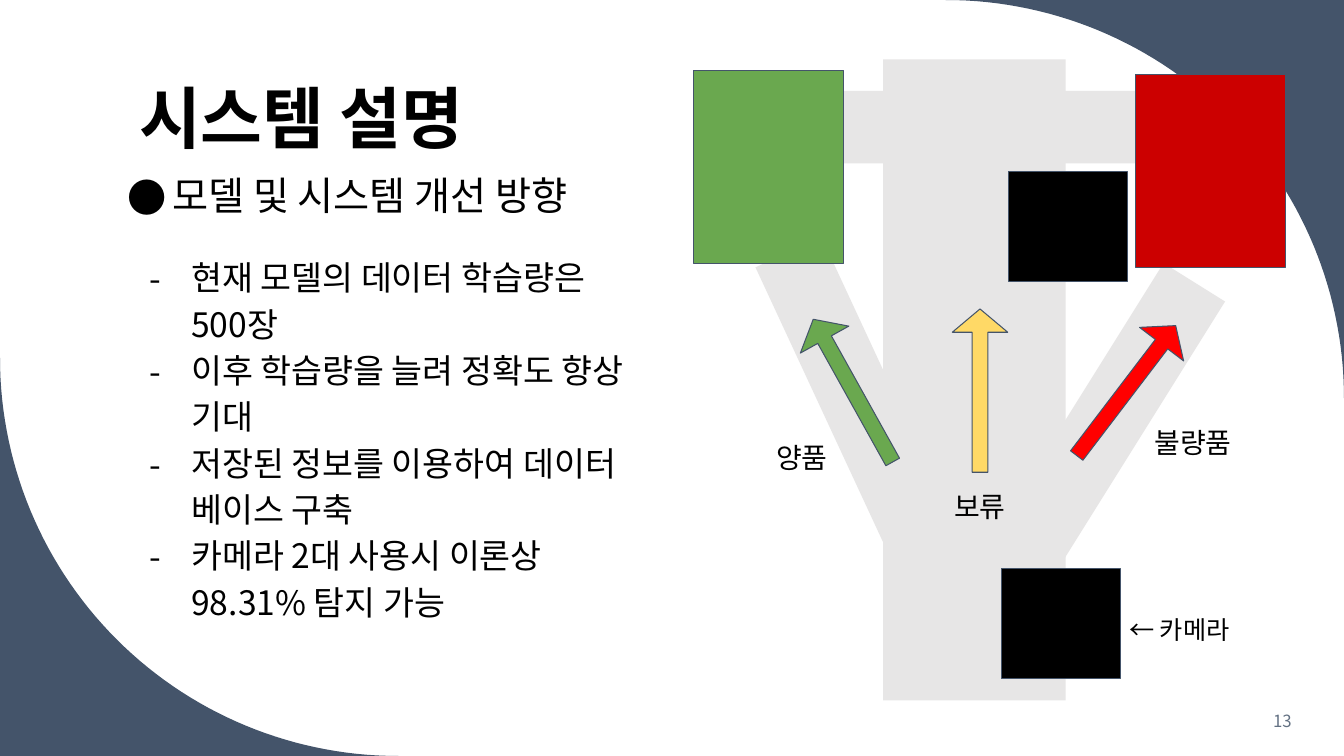
from dataclasses import dataclass
from math import cos, pi, sin
from typing import Optional

from lxml import etree
from pptx import Presentation
from pptx.dml.color import RGBColor
from pptx.enum.shapes import MSO_SHAPE
from pptx.enum.text import MSO_ANCHOR, MSO_AUTO_SIZE, PP_ALIGN
from pptx.oxml.ns import qn
from pptx.util import Inches, Pt

RECT, ARROW = MSO_SHAPE.RECTANGLE, MSO_SHAPE.RIGHT_ARROW
LEFT, CENTER, RIGHT = PP_ALIGN.LEFT, PP_ALIGN.CENTER, PP_ALIGN.RIGHT
TOP, MIDDLE, BOTTOM = MSO_ANCHOR.TOP, MSO_ANCHOR.MIDDLE, MSO_ANCHOR.BOTTOM
NO_AUTOFIT = MSO_AUTO_SIZE.NONE

NAVY = RGBColor(0x44, 0x54, 0x6A)
SLATE = RGBColor(0x63, 0x71, 0x83)
BLACK = RGBColor(0x00, 0x00, 0x00)
BELT = RGBColor(0xE7, 0xE6, 0xE6)
GREEN = RGBColor(0x6A, 0xA8, 0x4F)
YELLOW = RGBColor(0xFF, 0xD9, 0x66)
RED = RGBColor(0xFF, 0x00, 0x00)
DARK_RED = RGBColor(0xCC, 0x00, 0x00)

FONT = "Noto Sans CJK KR"
WIDTH, HEIGHT, RADIUS = 13.33, 7.5, 3.95


@dataclass
class Block:
    x: float
    y: float
    w: float
    h: float
    fill: RGBColor
    rotation: float = 0
    outlined: bool = True
    kind: int = RECT


@dataclass
class Text:
    x: float
    y: float
    w: float
    h: float
    lines: list[str]
    size: float
    color: RGBColor = BLACK
    bold: bool = False
    align: PP_ALIGN = LEFT
    anchor: MSO_ANCHOR = TOP
    inset: float = 0.1
    spacing: float = 1.0
    bullet: Optional[str] = None
    hanging: float = 0


def belt(x: float, y: float, h: float, rotation: float) -> Block:
    return Block(x, y, 0.72, h, BELT, rotation, False)


def arrow(x: float, fill: RGBColor, rotation: float) -> Block:
    return Block(x, 3.6, 1.62, 0.55, fill, rotation, kind=ARROW)


def camera(x: float, y: float) -> Block:
    return Block(x, y, 1.18, 1.09, BLACK)


def bin_box(x: float, y: float, fill: RGBColor) -> Block:
    return Block(x, y, 1.49, 1.91, fill)


def label(x: float, y: float, text: str, align: PP_ALIGN = LEFT) -> Text:
    return Text(x, y, 1.18, 0.4, [text], 20, align=align)


TITLE = Text(1.28, 0.17, 10.69, 1.45, ["시스템 설명"], 48, bold=True,
             anchor=BOTTOM, inset=0.05, spacing=0.9)
PAGE_NUMBER = Text(11.1, 6.95, 1.81, 0.4, ["13"], 12, SLATE,
                   align=RIGHT, anchor=MIDDLE, inset=0.05)
HEADING = Text(1.11, 1.7, 10.69, 0.55, ["모델 및 시스템 개선 방향"], 28,
               inset=0.05, spacing=0.9, bullet="●", hanging=0.44)
IMPROVEMENTS = Text(1.3, 2.39, 5.16, 4.15, [
    "현재 모델의 데이터 학습량은 500장",
    "이후 학습량을 늘려 정확도 향상 기대",
    "저장된 정보를 이용하여 데이터 베이스 구축",
    "카메라 2대 사용시 이론상 98.31% 탐지 가능",
], 24, spacing=1.15, bullet="-", hanging=0.42)

DIAGRAM = [
    Block(8.76, 0.59, 1.81, 6.36, BELT, outlined=False),
    camera(9.93, 5.64),
    Text(11.1, 5.99, 1.49, 0.4, ["← 카메라"], 18),
    belt(8.1, 2.36, 3.04, 335.1),
    belt(10.68, 2.57, 3.04, 32),
    arrow(10.36, RED, 307.3),
    arrow(7.65, GREEN, 240.9),
    arrow(8.91, YELLOW, 270),
    label(11.35, 4.12, "불량품"),
    label(7.6, 4.27, "양품"),
    label(9.13, 4.76, "보류", CENTER),
    camera(10, 1.7),
    belt(8.45, 0.4, 1.72, 270),
    belt(10.23, 0.4, 1.72, 270),
    bin_box(6.88, 0.7, GREEN),
    bin_box(11.26, 0.74, DARK_RED),
]


def add_corner(s, x: float, y: float, start: float) -> None:
    cx = x - RADIUS if x else RADIUS
    cy = y - RADIUS if y else RADIUS
    angles = [start + pi / 2 * i / 60 for i in range(61)]
    arc = [(Inches(cx + RADIUS * cos(a)), Inches(cy + RADIUS * sin(a)))
           for a in angles]
    builder = s.shapes.build_freeform(Inches(x), Inches(y))
    builder.add_line_segments(arc, close=True)
    sp = builder.convert_to_shape()
    sp.shadow.inherit = False
    sp.fill.solid()
    sp.fill.fore_color.rgb = NAVY
    sp.line.fill.background()


def add_block(s, block: Block) -> None:
    sp = s.shapes.add_shape(block.kind, Inches(block.x), Inches(block.y),
                            Inches(block.w), Inches(block.h))
    sp.shadow.inherit = False
    sp.rotation = block.rotation
    sp.fill.solid()
    sp.fill.fore_color.rgb = block.fill
    if block.kind == ARROW:
        sp.adjustments[0] = 0.28
        sp.adjustments[1] = 0.42
    if block.outlined:
        sp.line.color.rgb = NAVY
        sp.line.width = Pt(0.75)
    else:
        sp.line.fill.background()


def add_bullet(p, char: str, hanging: float) -> None:
    pPr = p._p.get_or_add_pPr()
    pPr.set("marL", str(Inches(0.5)))
    pPr.set("indent", str(-Inches(hanging)))
    color = etree.SubElement(pPr, qn("a:buClr"))
    etree.SubElement(color, qn("a:srgbClr"), val=str(BLACK))
    etree.SubElement(pPr, qn("a:buFont"), typeface=FONT)
    etree.SubElement(pPr, qn("a:buChar"), char=char)


def write_text(sp, text: Text) -> None:
    tf = sp.text_frame
    frame_format = {
        "word_wrap": True, "auto_size": NO_AUTOFIT,
        "vertical_anchor": text.anchor,
        "margin_left": Inches(0.1), "margin_right": Inches(0.1),
        "margin_top": Inches(text.inset), "margin_bottom": Inches(text.inset),
    }
    for name, value in frame_format.items():
        setattr(tf, name, value)
    font_format = {"name": FONT, "size": Pt(text.size), "bold": text.bold}
    for i, line in enumerate(text.lines):
        p = tf.add_paragraph() if i else tf.paragraphs[0]
        p.alignment = text.align
        p.line_spacing = text.spacing
        p.space_before = Pt(0)
        if text.bullet:
            add_bullet(p, text.bullet, text.hanging)
        r = p.add_run()
        r.text = line
        for name, value in font_format.items():
            setattr(r.font, name, value)
        r.font.color.rgb = text.color
        etree.SubElement(r.font._element, qn("a:ea"), typeface=FONT)


def add_text(s, text: Text) -> None:
    sp = s.shapes.add_textbox(Inches(text.x), Inches(text.y),
                              Inches(text.w), Inches(text.h))
    write_text(sp, text)


def add_title(s, text: Text) -> None:
    sp = s.shapes.title
    place = {"left": text.x, "top": text.y, "width": text.w, "height": text.h}
    for name, value in place.items():
        setattr(sp, name, Inches(value))
    write_text(sp, text)


def main() -> None:
    prs = Presentation()
    prs.slide_width, prs.slide_height = Inches(WIDTH), Inches(HEIGHT)
    s = prs.slides.add_slide(prs.slide_layouts[5])
    add_corner(s, WIDTH, 0, -pi / 2)
    add_corner(s, 0, HEIGHT, pi / 2)
    add_title(s, TITLE)
    for item in [PAGE_NUMBER, HEADING, *DIAGRAM, IMPROVEMENTS]:
        if isinstance(item, Text):
            add_text(s, item)
        else:
            add_block(s, item)
    prs.save("out.pptx")


if __name__ == "__main__":
    main()
